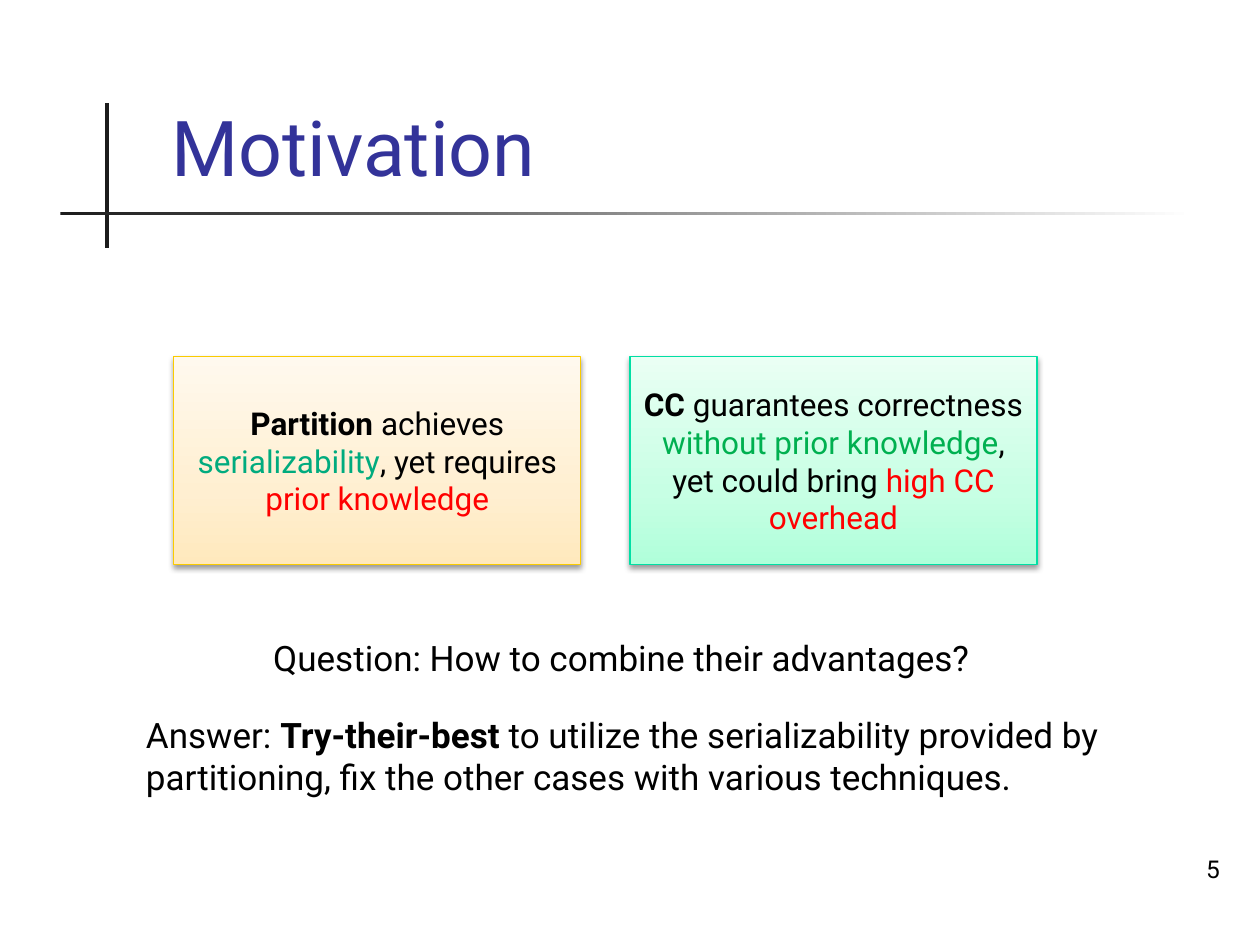
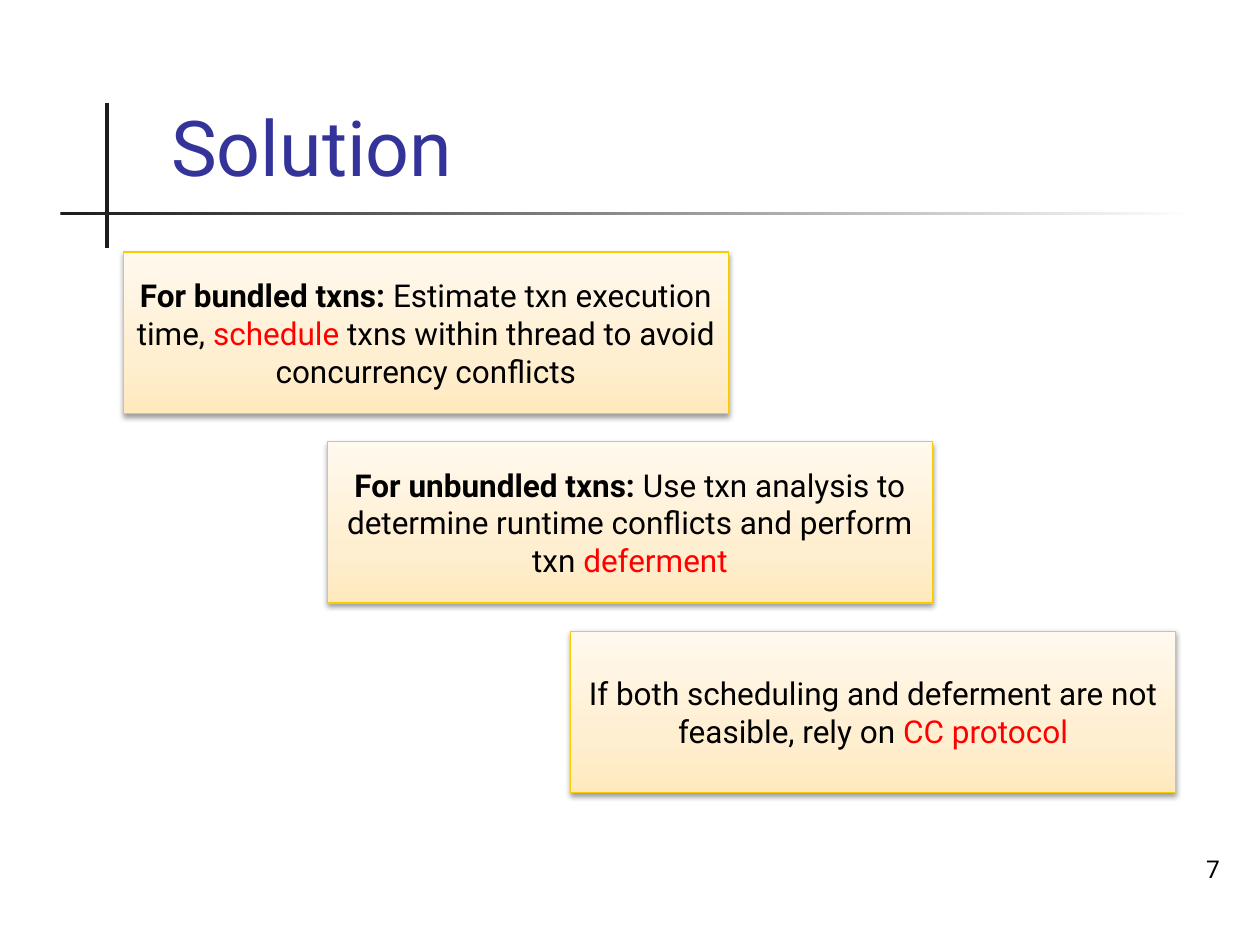
import pptx
import pptx.util
import pptx.dml.color
import pptx.enum.shapes
import pptx.enum.text
import pptx.oxml.ns
from lxml import etree

RGB = pptx.dml.color.RGBColor
ALIGN = pptx.enum.text.PP_ALIGN
ANCHOR = pptx.enum.text.MSO_ANCHOR
qn = pptx.oxml.ns.qn

FONT = "Roboto"
BLACK = RGB(0x00, 0x00, 0x00)
WHITE = RGB(0xFF, 0xFF, 0xFF)
INK = RGB(0x1C, 0x1C, 0x1C)
INDIGO = RGB(0x33, 0x33, 0x99)
RED = RGB(0xFF, 0x00, 0x00)
TEAL = RGB(0x00, 0xAB, 0x7E)
GREEN = RGB(0x00, 0xB0, 0x50)

# Panel styles: outline colour, then gradient stops from bottom to top
AMBER = (RGB(0xFA, 0xCB, 0x00), [(0, RGB(0xFF, 0xE9, 0xBD)),
                                 (35, RGB(0xFF, 0xEF, 0xD1)),
                                 (100, RGB(0xFF, 0xF9, 0xEE))])
MINT = (RGB(0x00, 0xDF, 0xA4), [(0, RGB(0xB0, 0xFF, 0xDA)),
                                (35, RGB(0xC7, 0xFF, 0xE4)),
                                (100, RGB(0xEA, 0xFF, 0xF4))])

prs = pptx.Presentation()
prs.slide_width = pptx.util.Inches(10)
prs.slide_height = pptx.util.Inches(7.5)
COL = prs.slide_width / 100  # the grid has 100 columns and 75 rows
ROW = prs.slide_height / 75


def add_box(s, at, stops=(), angle=0):
    """Add a rectangle filled with the stops, or a text box if there are none."""
    left, top, width, height = at
    place = int(left * COL), int(top * ROW), int(width * COL), int(height * ROW)
    if not stops:
        sp = s.shapes.add_textbox(*place)
        sp.text_frame.word_wrap = True
        return sp
    sp = s.shapes.add_shape(pptx.enum.shapes.MSO_SHAPE.RECTANGLE, *place)
    sp.shadow.inherit = False
    sp.line.fill.background()
    sp.fill.gradient()
    sp.fill.gradient_angle = angle
    gs_list = sp._element.spPr.find(".//" + qn("a:gsLst"))
    gs_list.clear()
    for position, color in stops:
        gs = etree.SubElement(gs_list, qn("a:gs"), pos=str(position * 1000))
        etree.SubElement(gs, qn("a:srgbClr"), val=str(color))
    return sp


def write(p, text, size=18, color=BLACK, bold=False, align=ALIGN.LEFT):
    """Append a formatted run to a paragraph."""
    p.alignment = align
    r = p.add_run()
    r.text = text
    r.font.name = FONT
    r.font.size = pptx.util.Pt(size)
    r.font.color.rgb = color
    r.font.bold = bold


# Each panel: place, style, runs
pair_width, pair_gap = 32.3, 3.9
motivation_panels = [
    ((13.8, 28.3, pair_width, 16.5), AMBER, [
        ("Partition", dict(bold=True)),
        (" achieves ", {}),
        ("serializability", dict(color=TEAL)),
        (", yet requires ", {}),
        ("prior knowledge", dict(color=RED))]),
    ((13.8 + pair_width + pair_gap, 28.3, pair_width, 16.5), MINT, [
        ("CC", dict(bold=True)),
        (" guarantees correctness ", {}),
        ("without prior knowledge", dict(color=GREEN)),
        (", yet could bring ", {}),
        ("high CC overhead", dict(color=RED))]),
]

steps = [
    (9.8, [("For bundled txns: ", dict(bold=True)),
           ("Estimate txn execution time, ", {}),
           ("schedule ", dict(color=RED)),
           ("txns within thread to avoid concurrency conflicts", {})]),
    (26, [("For unbundled txns: ", dict(bold=True)),
          ("Use txn analysis to determine runtime conflicts and perform txn ", {}),
          ("deferment", dict(color=RED))]),
    (45.3, [("If both scheduling and deferment are not feasible, rely on ", {}),
            ("CC protocol", dict(color=RED))]),
]
solution_panels = [((left, 20 + 15.05 * i, 48, 12.8), AMBER, runs)
                   for i, (left, runs) in enumerate(steps)]

# Each note: place, runs
motivation_notes = [
    ((20.7, 50, 58.5, 4.4), [("Question: How to combine their advantages?", {})]),
    ((10.6, 56.1, 81.1, 7.7), [
        ("Answer: ", {}),
        ("Try-their-best", dict(bold=True)),
        (" to utilize the serializability provided by partitioning, "
         "fix the other cases with various techniques.", {})]),
]

slides = [
    ("Motivation", "5", motivation_panels, motivation_notes),
    ("Solution", "7", solution_panels, []),
]

for title, number, panels, notes in slides:
    s = prs.slides.add_slide(prs.slide_layouts[5])

    # Crossed rules beside and below the title
    add_box(s, (8.3, 8.2, 0.35, 11.5), [(0, INK), (100, INK)])
    add_box(s, (4.8, 16.8, 90, 0.3), [(0, INK), (100, WHITE)])

    sp = s.shapes.title
    sp.left, sp.top = int(12.6 * COL), int(0.5 * ROW)
    sp.width, sp.height = int(85.2 * COL), int(15.2 * ROW)
    tf = sp.text_frame
    tf.auto_size = pptx.enum.text.MSO_AUTO_SIZE.NONE
    tf.vertical_anchor = ANCHOR.BOTTOM
    write(tf.paragraphs[0], title, size=44, color=INDIGO)

    tf = add_box(s, (77, 65.6, 20.8, 5)).text_frame
    tf.vertical_anchor = ANCHOR.BOTTOM
    write(tf.paragraphs[0], number, size=14, align=ALIGN.RIGHT)

    for at, (outline, stops), runs in panels:
        sp = add_box(s, at, stops, angle=90)
        sp.line.color.rgb = outline
        sp.line.width = pptx.util.Pt(0.75)
        effects = sp._element.spPr.find(qn("a:effectLst"))
        shadow = etree.SubElement(effects, qn("a:outerShdw"), blurRad="40000",
                                  dist="20000", dir="5400000", rotWithShape="0")
        shade = etree.SubElement(shadow, qn("a:srgbClr"), val=str(BLACK))
        etree.SubElement(shade, qn("a:alpha"), val="38000")
        tf = sp.text_frame
        tf.word_wrap = True
        tf.vertical_anchor = ANCHOR.MIDDLE
        for text, fmt in runs:
            write(tf.paragraphs[0], text, align=ALIGN.CENTER, **fmt)

    for at, runs in notes:
        tf = add_box(s, at).text_frame
        for text, fmt in runs:
            write(tf.paragraphs[0], text, size=20, **fmt)

prs.save("out.pptx")
